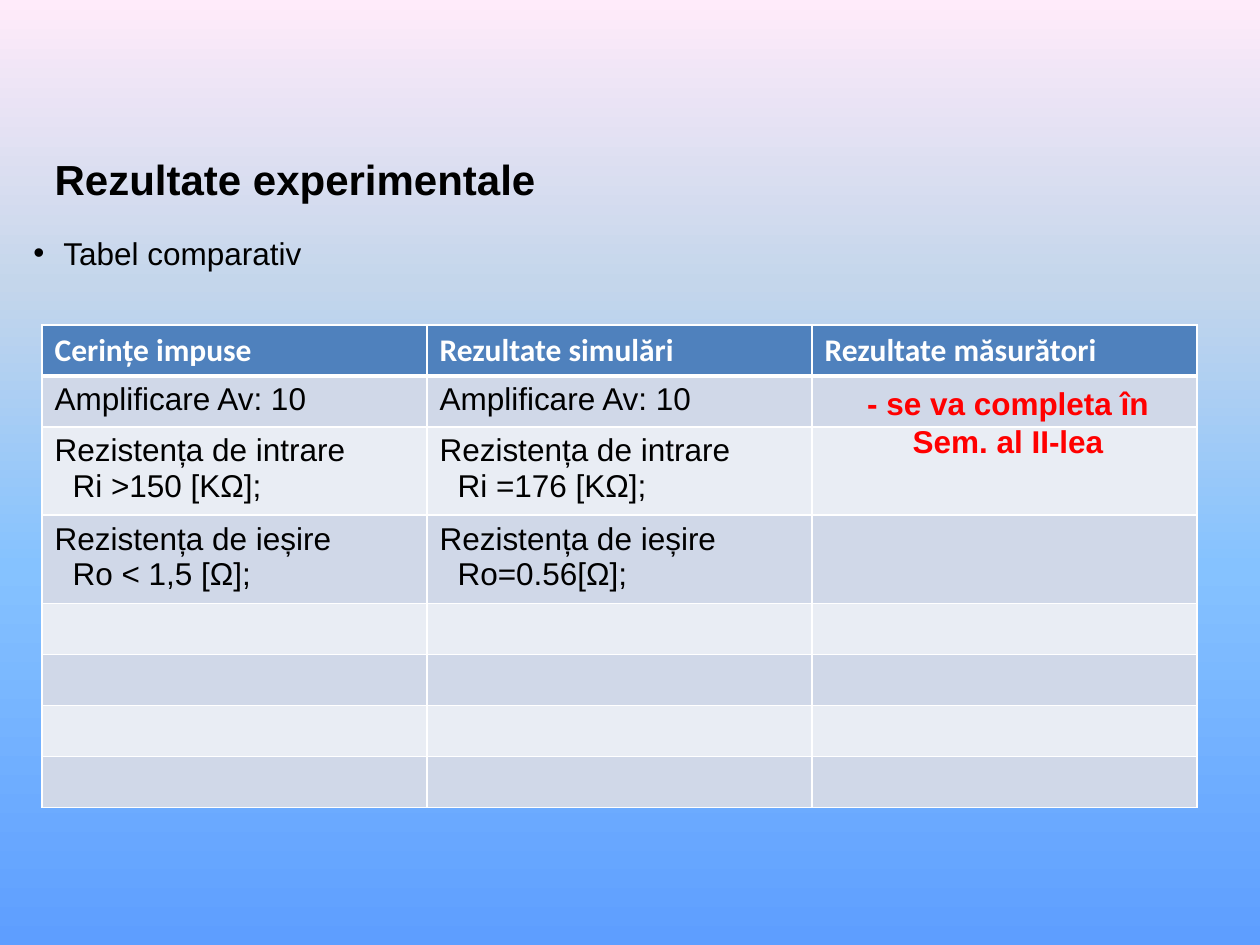
from lxml.etree import SubElement
from pptx import Presentation
from pptx.dml.color import RGBColor
from pptx.enum.text import MSO_ANCHOR, MSO_AUTO_SIZE, PP_ALIGN
from pptx.oxml.ns import qn
from pptx.util import Pt

PX = 914400 // 126
COLORS = {
    "black": "000000", "white": "FFFFFF", "red": "FF0000",
    "header": "4F81BD", "odd": "D0D8E8", "even": "E9EDF4",
}
GRADIENT = [(0, "5E9EFF"), (40, "85C2FF"), (70, "C4D6EB"), (100, "FFEBFA")]
HEADER = {"name": "Calibri", "size": Pt(18), "bold": True}
BODY = {"name": "Arial", "size": Pt(18), "bold": False}
TITLE = {"name": "Arial", "size": Pt(24), "bold": True}
NOTE = {"name": "Arial", "size": Pt(18), "bold": True}


def write(para, text, font_format, color):
    span = para.add_run()
    span.text = text
    for name, value in font_format.items():
        setattr(span.font, name, value)
    span.font.color.rgb = RGBColor.from_string(COLORS[color])


def set_borders(cell, widths):
    """Draw white cell borders; widths maps a side (L, R, T, B) to points."""
    properties = cell._tc.get_or_add_tcPr()
    for index, (side, width) in enumerate(widths.items()):
        line = SubElement(properties, qn(f"a:ln{side}"), w=str(Pt(width)))
        fill = SubElement(line, qn("a:solidFill"))
        SubElement(fill, qn("a:srgbClr"), val=COLORS["white"])
        properties.insert(index, line)


deck = Presentation()
deck.slide_width, deck.slide_height = 1260 * PX, 945 * PX
page = deck.slides.add_slide(deck.slide_layouts[5])

# Background gradient, running from bottom to top
background = page.background.fill
background.gradient()
background.gradient_angle = 90
stops = page._element.find(".//" + qn("a:gsLst"))
for stop in list(stops):
    stops.remove(stop)
for percent, color in GRADIENT:
    stop = SubElement(stops, qn("a:gs"), pos=str(percent * 1000))
    SubElement(stop, qn("a:srgbClr"), val=color)

# Title
title = page.shapes.title
title.left, title.top, title.width, title.height = 42 * PX, 147 * PX, 1071 * PX, 63 * PX
title.text_frame.vertical_anchor = MSO_ANCHOR.MIDDLE
para = title.text_frame.paragraphs[0]
para.alignment = PP_ALIGN.LEFT
write(para, "Rezultate experimentale", TITLE, "black")

# Bulleted subtitle
box = page.shapes.add_textbox(21 * PX, 221 * PX, 1176 * PX, 63 * PX)
box.text_frame.word_wrap = True
box.text_frame.vertical_anchor = MSO_ANCHOR.MIDDLE
para = box.text_frame.paragraphs[0]
para.alignment = PP_ALIGN.JUSTIFY
write(para, "Tabel comparativ", BODY, "black")
bullet = para._p.get_or_add_pPr()
bullet.set("marL", str(30 * PX))
bullet.set("indent", str(-30 * PX))
SubElement(bullet, qn("a:buFont"), typeface="Arial")
SubElement(bullet, qn("a:buChar"), char="•")

# Comparison table; the second line of a cell is indented
rows = [
    ["Cerințe impuse", "Rezultate simulări", "Rezultate măsurători"],
    ["Amplificare Av: 10", "Amplificare Av: 10", ""],
    ["Rezistența de intrare\nRi >150 [KΩ];", "Rezistența de intrare\nRi =176 [KΩ];", ""],
    ["Rezistența de ieșire\nRo < 1,5 [Ω];", "Rezistența de ieșire\nRo=0.56[Ω];", ""],
] + [[""] * 3 for _ in range(4)]
heights = [83 if "\n" in row[0] else 51 for row in rows]
table = page.shapes.add_table(
    len(rows), 3, 42 * PX, 325 * PX, 1155 * PX, sum(heights) * PX
).table
for column in table.columns:
    column.width = 385 * PX
for r, row in enumerate(rows):
    table.rows[r].height = heights[r] * PX
    band = "header" if r == 0 else "odd" if r % 2 else "even"
    font_format, color = (HEADER, "white") if r == 0 else (BODY, "black")
    for c, text in enumerate(row):
        cell = table.cell(r, c)
        cell.fill.solid()
        cell.fill.fore_color.rgb = RGBColor.from_string(COLORS[band])
        set_borders(cell, {"L": 1, "R": 1, "T": 3 if r == 1 else 1, "B": 3 if r == 0 else 1})
        for n, line in enumerate(text.split("\n") if text else []):
            frame = cell.text_frame
            para = frame.add_paragraph() if n else frame.paragraphs[0]
            write(para, line, font_format, color)
            if n:
                para._p.get_or_add_pPr().set("marL", str(18 * PX))

# Note over the measurements column
note = page.shapes.add_textbox(819 * PX, 378 * PX, 378 * PX, 89 * PX)
note.text_frame.word_wrap = True
note.text_frame.auto_size = MSO_AUTO_SIZE.SHAPE_TO_FIT_TEXT
para = note.text_frame.paragraphs[0]
para.alignment = PP_ALIGN.CENTER
write(para, "- se va completa în Sem. al II-lea", NOTE, "red")

deck.save("out.pptx")
